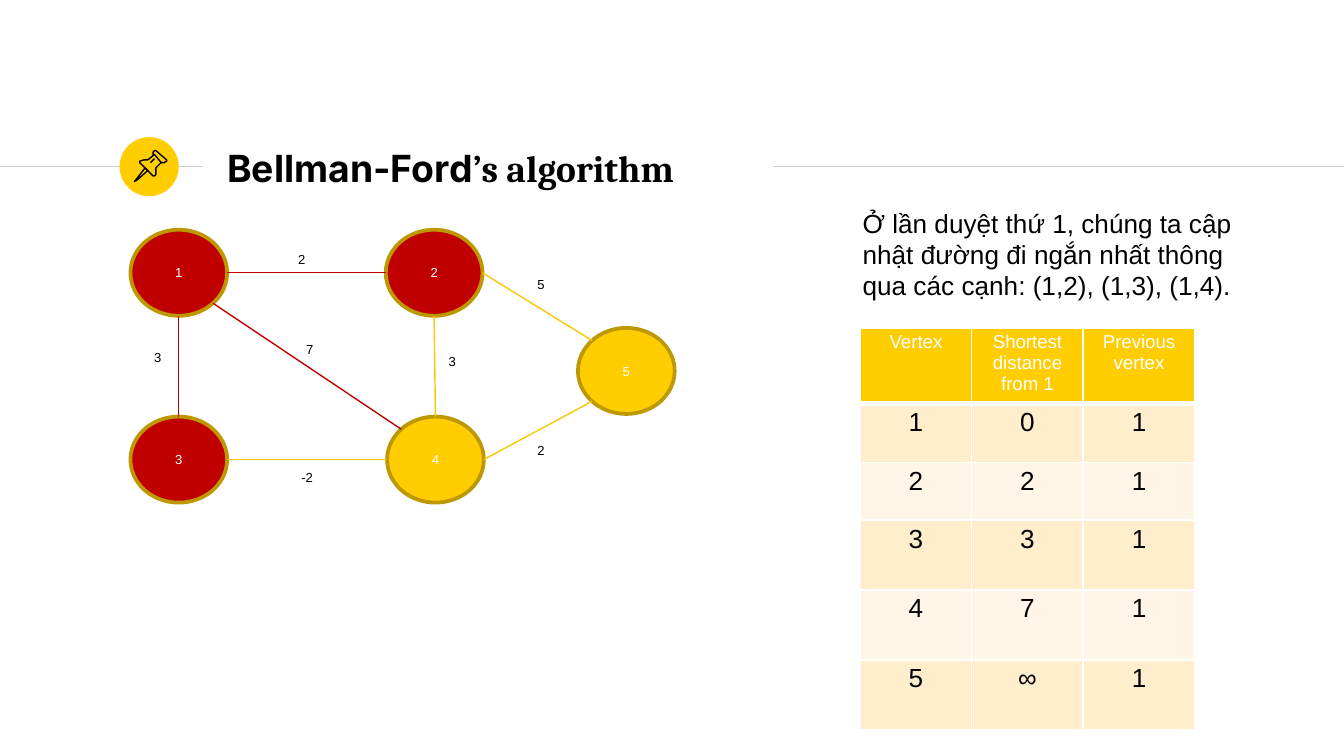
from math import cos, radians, sin

from lxml import etree
from pptx import Presentation
from pptx.dml.color import RGBColor
from pptx.enum.shapes import MSO_CONNECTOR, MSO_SHAPE
from pptx.enum.text import MSO_ANCHOR, MSO_AUTO_SIZE, PP_ALIGN
from pptx.oxml import parse_xml
from pptx.oxml.ns import nsdecls, qn
from pptx.util import Inches, Pt

STRAIGHT = MSO_CONNECTOR.STRAIGHT
OVAL = MSO_SHAPE.OVAL
MIDDLE = MSO_ANCHOR.MIDDLE
CENTER = PP_ALIGN.CENTER
LEFT = PP_ALIGN.LEFT
COLORS = {
    "rule": "CCCCCC", "yellow": "FFCD00", "red": "C00000", "outline": "BD9800",
    "edge": "F9C800", "black": "000000", "white": "FFFFFF",
    "band_dark": "FFEDCC", "band_light": "FFF6E7",
}

presentation = Presentation()
presentation.slide_width = Inches(10)
presentation.slide_height = Inches(10 * 9 / 16)
slide = presentation.slides.add_slide(presentation.slide_layouts[5])
shapes = slide.shapes


def add_line(start, end, color):
    line = shapes.add_connector(STRAIGHT, *[Inches(value) for value in (*start, *end)])
    line.line.color.rgb = RGBColor.from_string(COLORS[color])
    line.line.width = Pt(0.75)
    etree.SubElement(line._element.spPr, qn("a:effectLst"))


def write_text(text_frame, text, size, color="black", alignment=CENTER):
    text_frame.word_wrap = True
    text_frame.text = text
    paragraph = text_frame.paragraphs[0]
    paragraph.alignment = alignment
    font = paragraph.runs[0].font
    font.name = "Arial"
    font.size = Pt(size)
    font.color.rgb = RGBColor.from_string(COLORS[color])


add_line((0, 1.24), (1.5, 1.24), "rule")
add_line((5.76, 1.24), (10, 1.24), "rule")
badge = shapes.add_shape(OVAL, Inches(0.89), Inches(1.02), Inches(0.44), Inches(0.44))
badge.shadow.inherit = False
badge.fill.solid()
badge.fill.fore_color.rgb = RGBColor.from_string(COLORS["yellow"])
badge.line.fill.background()

pin_outlines = [
    ([(1.08, 1.25), (1.01, 1.34), (1, 1.35), (1.02, 1.34), (1.1, 1.27)], True),
    ([(1.15, 1.15), (1.2, 1.21), (1.22, 1.21), (1.24, 1.2), (1.24, 1.19),
      (1.16, 1.12), (1.15, 1.12), (1.14, 1.13), (1.14, 1.15)], True),
    ([(1.15, 1.15), (1.1, 1.19), (1.07, 1.19), (1.04, 1.2), (1.04, 1.21),
      (1.14, 1.31), (1.15, 1.31), (1.16, 1.3), (1.16, 1.25), (1.2, 1.21)], False),
    ([(1.12, 1.21), (1.15, 1.18)], False),
]
for points, closed in pin_outlines:
    corners = [(Inches(x), Inches(y)) for x, y in points]
    builder = shapes.build_freeform(*corners[0])
    builder.add_line_segments(corners[1:], close=closed)
    pin_part = builder.convert_to_shape()
    pin_part.shadow.inherit = False
    pin_part.fill.background()
    pin_part.line.color.rgb = RGBColor.from_string(COLORS["black"])
    pin_part.line.width = Pt(0.75)

title = shapes.title
title.left, title.top = Inches(1.59), Inches(1.01)
title.width, title.height = Inches(4.25), Inches(0.48)
title_frame = title.text_frame
title_frame.auto_size = MSO_AUTO_SIZE.NONE
title_frame.vertical_anchor = MIDDLE
title_frame.margin_left = title_frame.margin_right = Inches(0.1)
title_frame.margin_top = title_frame.margin_bottom = Inches(0.1)
title_paragraph = title_frame.paragraphs[0]
title_paragraph.alignment = LEFT
for text, font_name in [("Bellman-Ford", "Inter"), ("’s algorithm", "Cambria")]:
    run = title_paragraph.add_run()
    run.text = text
    run.font.name = font_name
    run.font.size = Pt(20)
    run.font.bold = True
    run.font.color.rgb = RGBColor.from_string(COLORS["black"])

node_width, node_height = 0.72, 0.64
nodes = {
    1: (0.97, 1.71, "red"), 2: (2.87, 1.71, "red"), 3: (0.97, 3.1, "red"),
    4: (2.88, 3.1, "yellow"), 5: (4.3, 2.44, "yellow"),
}
for number, (left, top, color) in nodes.items():
    node = shapes.add_shape(OVAL, Inches(left), Inches(top),
                            Inches(node_width), Inches(node_height))
    node.shadow.inherit = False
    node.fill.solid()
    node.fill.fore_color.rgb = RGBColor.from_string(COLORS[color])
    node.line.color.rgb = RGBColor.from_string(COLORS["outline"])
    node.line.width = Pt(2)
    node.text_frame.vertical_anchor = MIDDLE
    write_text(node.text_frame, str(number), 7, "white")

edges = [
    (1, 0, 2, 180, "red", "2", 2.03, 1.82),
    (1, 90, 3, 270, "red", "3", 0.96, 2.55),
    (3, 0, 4, 180, "edge", "-2", 2.07, 3.44),
    (2, 90, 4, 270, "edge", "3", 3.15, 2.58),
    (2, 0, 5, 225, "edge", "5", 3.81, 2.01),
    (4, 0, 5, 135, "edge", "2", 3.81, 3.24),
    (1, 45, 4, 225, "red", "7", 2.09, 2.49),
]
for source, source_angle, target, target_angle, color, weight, left, top in edges:
    ends = []
    for number, angle in [(source, source_angle), (target, target_angle)]:
        node_left, node_top, _ = nodes[number]
        ends.append((node_left + node_width / 2 * (1 + cos(radians(angle))),
                     node_top + node_height / 2 * (1 + sin(radians(angle)))))
    add_line(*ends, color)
    label = shapes.add_textbox(Inches(left), Inches(top), Inches(0.43), Inches(0.22))
    write_text(label.text_frame, weight, 7)

explanation = shapes.add_textbox(Inches(6.32), Inches(1.49), Inches(3.06), Inches(0.81))
write_text(
    explanation.text_frame,
    "Ở lần duyệt thứ 1, chúng ta cập nhật đường đi ngắn nhất thông qua các cạnh: "
    "(1,2), (1,3), (1,4).",
    14, alignment=LEFT,
)

rows = [
    ("Vertex", "Shortest distance from 1", "Previous vertex"),
    ("1", "0", "1"), ("2", "2", "1"), ("3", "3", "1"), ("4", "7", "1"), ("5", "∞", "1"),
]
row_heights = [0.54, 0.44, 0.43, 0.52, 0.52, 0.52]
table = shapes.add_table(6, 3, Inches(6.4), Inches(2.44), Inches(2.49), Inches(2.97)).table
for column in table.columns:
    column.width = Inches(0.83)
for row_index, row in enumerate(rows):
    table.rows[row_index].height = Inches(row_heights[row_index])
    is_header = row_index == 0
    fill = "yellow" if is_header else "band_dark" if row_index % 2 else "band_light"
    for column_index, text in enumerate(row):
        cell = table.cell(row_index, column_index)
        cell.margin_left = cell.margin_right = Inches(0.05)
        cell.margin_top = cell.margin_bottom = Inches(0.03)
        write_text(cell.text_frame, text, 10 if is_header else 14,
                   "white" if is_header else "black")
        properties = cell._tc.get_or_add_tcPr()
        for side in ("lnL", "lnR", "lnT", "lnB"):
            width = Pt(3 if is_header and side == "lnB" else 1)
            properties.append(parse_xml(
                f'<a:{side} {nsdecls("a")} w="{width}"><a:solidFill>'
                f'<a:srgbClr val="{COLORS["white"]}"/></a:solidFill></a:{side}>'))
        cell.fill.solid()
        cell.fill.fore_color.rgb = RGBColor.from_string(COLORS[fill])

presentation.save("out.pptx")
